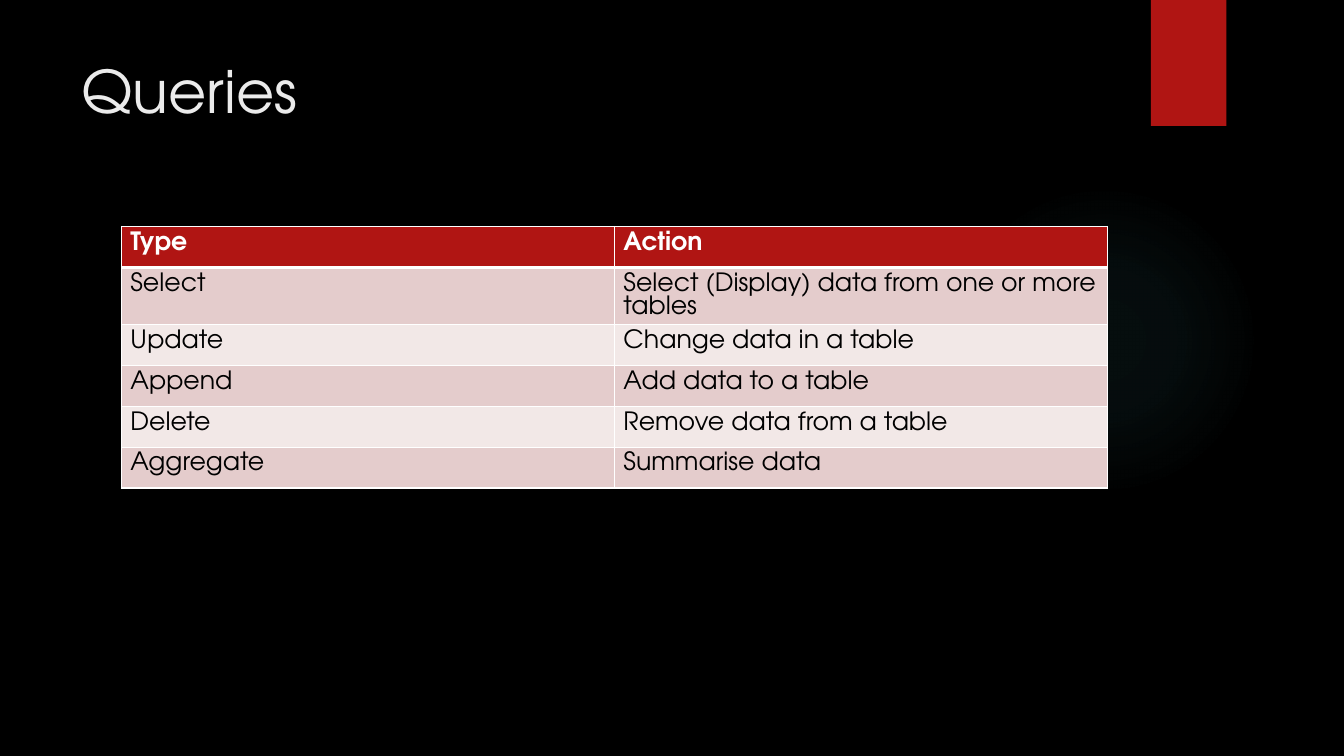
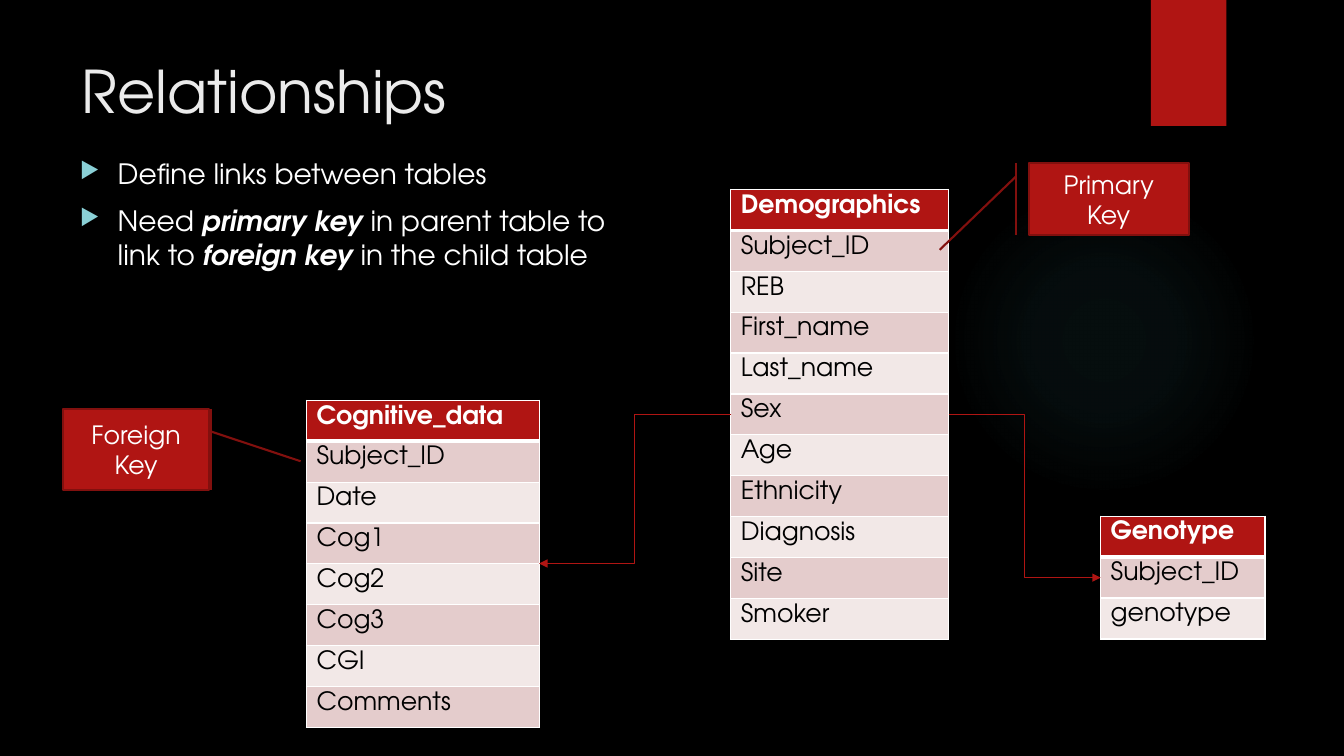
"""Build two slides on database queries and table relationships."""
import pptx
import pptx.util
import pptx.dml.color
import pptx.enum.shapes
import pptx.enum.text
import pptx.oxml
import pptx.oxml.ns

Pt = pptx.util.Pt
SHAPE = pptx.enum.shapes.MSO_SHAPE
ANCHOR = pptx.enum.text.MSO_ANCHOR
ALIGN = pptx.enum.text.PP_ALIGN
NS = pptx.oxml.ns.nsdecls("a")
FONT = "TeX Gyre Adventor"
RED, DARK_RED, WHITE, BLACK = "B01513", "82100E", "FFFFFF", "000000"
TITLE, BULLET, GLOW = "EBEBEB", "8AD0D6", "50B9C1"
BANDS = ["F2E8E7", "E4CCCC"]
ROW_H = 29.2


def rgb(color):
    return pptx.dml.color.RGBColor.from_string(color)


def add_run(p, text, size, color, bold=False, italic=False):
    r = p.add_run()
    r.text = text
    r.font.name = FONT
    r.font.size = Pt(size)
    r.font.color.rgb = rgb(color)
    r.font.bold = bold
    r.font.italic = italic


prs = pptx.Presentation()
prs.slide_width, prs.slide_height = Pt(960), Pt(540)
fill = prs.slide_master.background.fill
fill.solid()
fill.fore_color.rgb = rgb(BLACK)

for title in ["Queries", "Relationships"]:
    s = prs.slides.add_slide(prs.slide_layouts[5])

    glow = s.shapes.add_shape(SHAPE.OVAL, Pt(677.5), Pt(131.8), Pt(221.8), Pt(221.8))
    glow.shadow.inherit = False
    glow.line.fill.background()
    stops = "".join(
        f'<a:gs pos="{pos}000"><a:srgbClr val="{GLOW}"><a:alpha val="{alpha}000"/></a:srgbClr></a:gs>'
        for pos, alpha in [(0, 7), (36, 6), (69, 0)])
    glow.element.spPr.find(pptx.oxml.ns.qn("a:prstGeom")).addnext(pptx.oxml.parse_xml(
        f'<a:gradFill {NS}><a:gsLst>{stops}</a:gsLst><a:path path="circle">'
        '<a:fillToRect l="50000" t="50000" r="50000" b="50000"/></a:path></a:gradFill>'))

    band = s.shapes.add_shape(SHAPE.RECTANGLE, Pt(822), Pt(0), Pt(54), Pt(90))
    band.shadow.inherit = False
    band.fill.solid()
    band.fill.fore_color.rgb = rgb(RED)
    band.line.fill.background()

    sp = s.shapes.title
    sp.left, sp.top, sp.width, sp.height = Pt(51), Pt(35.5), Pt(741), Pt(110)
    tf = sp.text_frame
    tf.auto_size = pptx.enum.text.MSO_AUTO_SIZE.NONE
    tf.vertical_anchor = ANCHOR.TOP
    p = tf.paragraphs[0]
    p.alignment = ALIGN.LEFT
    add_run(p, title, 42, TITLE)

queries, relationships = prs.slides

sp = relationships.shapes.add_textbox(Pt(50), Pt(108), Pt(399), Pt(330))
tf = sp.text_frame
tf.word_wrap = True
bullets = [
    [("Define links between tables", False)],
    [("Need ", False), ("primary key ", True), ("in parent table to link to ", False),
     ("foreign key ", True), ("in the child table", False)],
]
for i, runs in enumerate(bullets):
    p = tf.add_paragraph() if i else tf.paragraphs[0]
    p.space_before = Pt(10)
    pPr = p._p.get_or_add_pPr()
    pPr.set("marL", str(Pt(27)))
    pPr.set("indent", str(Pt(-27)))
    for xml in (f'<a:buClr {NS}><a:srgbClr val="{BULLET}"/></a:buClr>',
                f'<a:buSzPct {NS} val="80000"/>',
                f'<a:buChar {NS} char="▶"/>'):
        pPr.append(pptx.oxml.parse_xml(xml))
    for text, key in runs:
        add_run(p, text, 20, WHITE, key, key)

tables = [
    (queries, 87, 161.8, 352.2, 6.2, [
        ("Type", "Action"),
        ("Select", "Select (Display) data from one or more tables"),
        ("Update", "Change data in a table"),
        ("Append", "Add data to a table"),
        ("Delete", "Remove data from a table"),
        ("Aggregate", "Summarise data")]),
    (relationships, 522, 135.4, 155.5, 7.2, [
        (name,) for name in ("Demographics", "Subject_ID", "REB", "First_name", "Last_name", "Sex",
                             "Age", "Ethnicity", "Diagnosis", "Site", "Smoker")]),
    (relationships, 218.9, 286, 166.3, 7.2, [
        (name,) for name in ("Cognitive_data", "Subject_ID", "Date", "Cog1", "Cog2", "Cog3",
                             "CGI", "Comments")]),
    (relationships, 786.2, 368.8, 117.4, 7.2, [
        (name,) for name in ("Genotype", "Subject_ID", "genotype")]),
]
for s, x, y, col_w, margin, rows in tables:
    cols = len(rows[0])
    table = s.shapes.add_table(len(rows), cols, Pt(x), Pt(y), Pt(col_w * cols), Pt(ROW_H * len(rows))).table
    for col in table.columns:
        col.width = Pt(col_w)
    for i, row in enumerate(rows):
        table.rows[i].height = Pt(ROW_H)
        header = i == 0
        for j, text in enumerate(row):
            cell = table.cell(i, j)
            cell.margin_left = cell.margin_right = Pt(margin)
            cell.fill.solid()
            cell.fill.fore_color.rgb = rgb(RED if header else BANDS[i % 2])
            p = cell.text_frame.paragraphs[0]
            add_run(p, text, 18, WHITE if header else BLACK, header)
            widths = {"L": 1, "R": 1, "T": 3 if i == 1 else 1, "B": 3 if header else 1}
            for k, (side, width) in enumerate(widths.items()):
                cell._tc.tcPr.insert(k, pptx.oxml.parse_xml(
                    f'<a:ln{side} {NS} w="{Pt(width)}"><a:solidFill><a:srgbClr val="{WHITE}"/>'
                    f'</a:solidFill></a:ln{side}>'))

for x1, y1, x2, y2 in [(677.5, 296, 786.2, 412.6), (522, 296, 385.2, 402.5)]:
    link = relationships.shapes.add_connector(
        pptx.enum.shapes.MSO_CONNECTOR.ELBOW, Pt(x1), Pt(y1), Pt(x2), Pt(y2))
    link.line.color.rgb = rgb(RED)
    link.line.width = Pt(0.75)
    link.line._get_or_add_ln().append(pptx.oxml.parse_xml(f'<a:tailEnd {NS} type="triangle"/>'))
    link._element.spPr.append(pptx.oxml.parse_xml(f'<a:effectLst {NS}/>'))

callouts = [
    ("Primary Key", 735, 116.6, 114, 51.4, (0.188, -0.083, 1.203, -0.559)),
    ("Foreign Key", 45, 292, 104.4, 58, (0.281, 1.013, 0.647, 1.626)),
]
for text, x, y, w, h, adjustments in callouts:
    sp = relationships.shapes.add_shape(
        SHAPE.LINE_CALLOUT_1_BORDER_AND_ACCENT_BAR, Pt(x), Pt(y), Pt(w), Pt(h))
    for i, value in enumerate(adjustments):
        sp.adjustments[i] = value
    sp.shadow.inherit = False
    sp.fill.solid()
    sp.fill.fore_color.rgb = rgb(RED)
    sp.line.color.rgb = rgb(DARK_RED)
    sp.line.width = Pt(1.5)
    tf = sp.text_frame
    tf.word_wrap = True
    tf.vertical_anchor = ANCHOR.MIDDLE
    p = tf.paragraphs[0]
    p.alignment = ALIGN.CENTER
    add_run(p, text, 18, WHITE)

prs.save("out.pptx")
